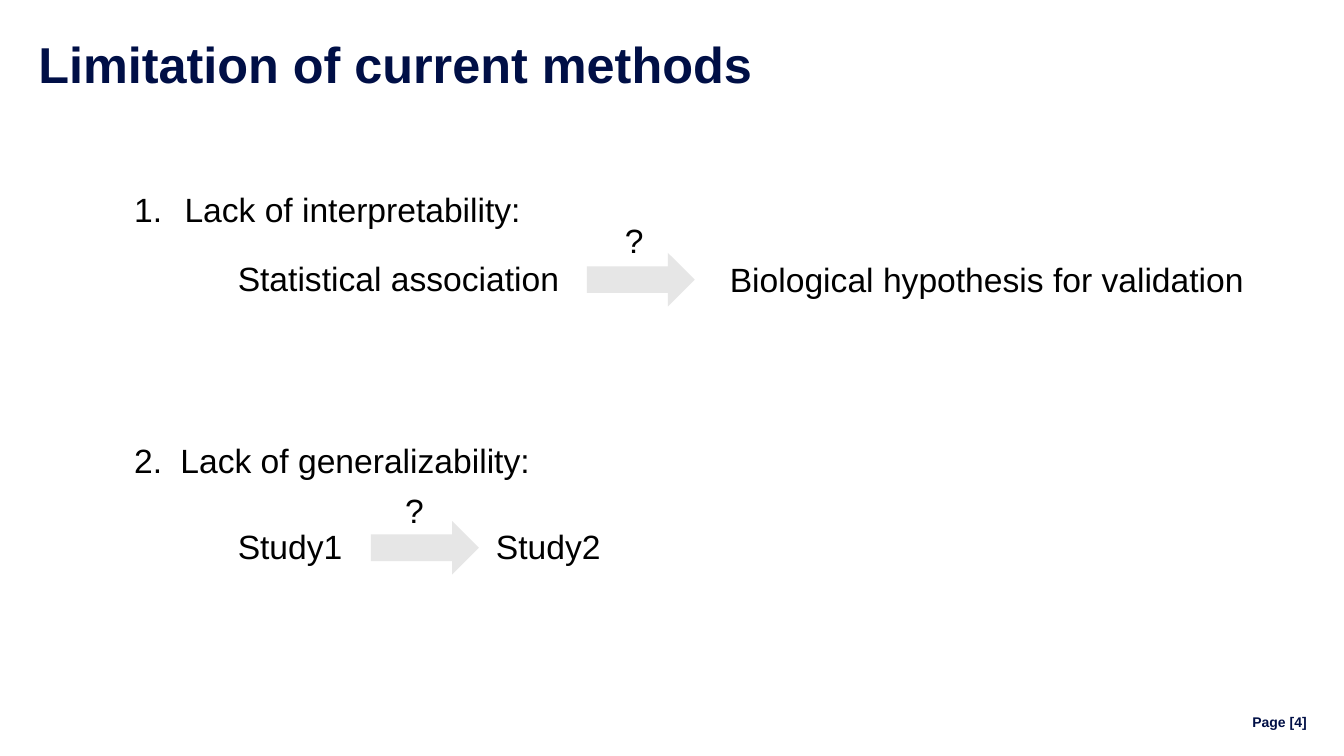
"""Build the slide on the limitations of current methods."""
from typing import NamedTuple

from lxml.etree import SubElement
from pptx import Presentation
from pptx.dml.color import RGBColor
from pptx.enum.shapes import MSO_SHAPE
from pptx.enum.text import MSO_ANCHOR, MSO_AUTO_SIZE, PP_ALIGN
from pptx.oxml.ns import qn
from pptx.slide import Slide
from pptx.text.text import TextFrame, _Paragraph
from pptx.util import Inches, Pt

COLORS = {"navy": "000F46", "text": "000000", "arrow": "E6E6E6"}
FONT = "Arial"


class Label(NamedTuple):
    """A single line of text and the box that holds it."""

    text: str
    left: float
    top: float
    width: float


class Point(NamedTuple):
    """A numbered limitation with its hanging indent."""

    number: int
    text: str
    top: float
    indent: float


class Arrow(NamedTuple):
    """The top left corner of an arrow."""

    left: float
    top: float


LABELS = [
    Label("Statistical association", 2.26, 2.51, 3.52),
    Label("Biological hypothesis for validation", 7.14, 2.52, 5.35),
    Label("?", 6.1, 2.13, 0.39),
    Label("Study1", 2.26, 5.17, 1.25),
    Label("Study2", 4.82, 5.17, 1.25),
    Label("?", 3.92, 4.81, 0.39),
]
POINTS = [
    Point(1, "Lack of interpretability:", 1.82, 0.5),
    Point(2, "Lack of generalizability:", 4.31, 0.46),
]
ARROWS = [Arrow(5.82, 2.51), Arrow(3.68, 5.17)]


def place(shape, left: float, top: float, width: float, height: float) -> None:
    """Move and size a shape, in inches."""
    shape.left, shape.top = Inches(left), Inches(top)
    shape.width, shape.height = Inches(width), Inches(height)


def clear_margins(frame: TextFrame) -> None:
    """Remove the inner margins of a text frame."""
    frame.margin_left = frame.margin_right = 0
    frame.margin_top = frame.margin_bottom = 0


def add_span(para: _Paragraph, text: str, size: float = 24,
             color: str = "text", bold: bool = False) -> None:
    """Add one formatted run to a paragraph."""
    span = para.add_run()
    span.text = text
    span.font.name = FONT
    span.font.size = Pt(size)
    span.font.bold = bold
    span.font.color.rgb = RGBColor.from_string(COLORS[color])


def fill_title(page: Slide) -> None:
    """Write the slide title into its placeholder."""
    title = page.shapes.title
    place(title, 0.38, 0.37, 10.6, 1.56)
    frame = title.text_frame
    clear_margins(frame)
    frame.auto_size = MSO_AUTO_SIZE.NONE
    frame.vertical_anchor = MSO_ANCHOR.TOP
    para = frame.paragraphs[0]
    para.alignment = PP_ALIGN.LEFT
    para.line_spacing = Pt(40)
    add_span(para, "Limitation of current methods", 36, "navy", True)


def fill_point(page: Slide, point: Point) -> None:
    """Write a numbered limitation into its body placeholder."""
    body = page.placeholders[point.number]
    place(body, 1.23, point.top, 6.67, 0.5)
    frame = body.text_frame
    frame.auto_size = MSO_AUTO_SIZE.NONE
    frame.vertical_anchor = MSO_ANCHOR.TOP
    para = frame.paragraphs[0]
    para.space_before = Pt(0)
    properties = para._p.get_or_add_pPr()
    properties.set("marL", str(Inches(point.indent)))
    properties.set("indent", str(-Inches(point.indent)))
    SubElement(properties, qn("a:buFont"), typeface=FONT)
    SubElement(properties, qn("a:buAutoNum"), type="arabicPeriod",
               startAt=str(point.number))
    add_span(para, point.text)


def add_label(page: Slide, label: Label) -> None:
    """Add a one-line text box."""
    box = page.shapes.add_textbox(Inches(label.left), Inches(label.top),
                                  Inches(label.width), Inches(0.5))
    box.text_frame.word_wrap = False
    add_span(box.text_frame.paragraphs[0], label.text)


def add_arrow(page: Slide, arrow: Arrow) -> None:
    """Add a plain grey arrow pointing right."""
    shape = page.shapes.add_shape(
        MSO_SHAPE.RIGHT_ARROW, Inches(arrow.left), Inches(arrow.top),
        Inches(1.07), Inches(0.53))
    shape.shadow.inherit = False
    shape.fill.solid()
    shape.fill.fore_color.rgb = RGBColor.from_string(COLORS["arrow"])
    shape.line.fill.background()


def add_page_number(page: Slide) -> None:
    """Add the page number in the bottom right corner."""
    box = page.shapes.add_textbox(Inches(11.23), Inches(7.04),
                                  Inches(1.73), Inches(0.24))
    frame = box.text_frame
    clear_margins(frame)
    frame.word_wrap = True
    frame.vertical_anchor = MSO_ANCHOR.MIDDLE
    para = frame.paragraphs[0]
    para.alignment = PP_ALIGN.RIGHT
    para.line_spacing = Pt(12)
    add_span(para, "Page [4]", 10, "navy", True)


def main() -> None:
    """Build and save the deck."""
    deck = Presentation()
    deck.slide_width, deck.slide_height = Inches(13.33), Inches(7.5)
    page = deck.slides.add_slide(deck.slide_layouts.get_by_name("Two Content"))
    fill_title(page)
    for point in POINTS:
        fill_point(page, point)
    for arrow in ARROWS:
        add_arrow(page, arrow)
    for label in LABELS:
        add_label(page, label)
    add_page_number(page)
    deck.save("out.pptx")


if __name__ == "__main__":
    main()
